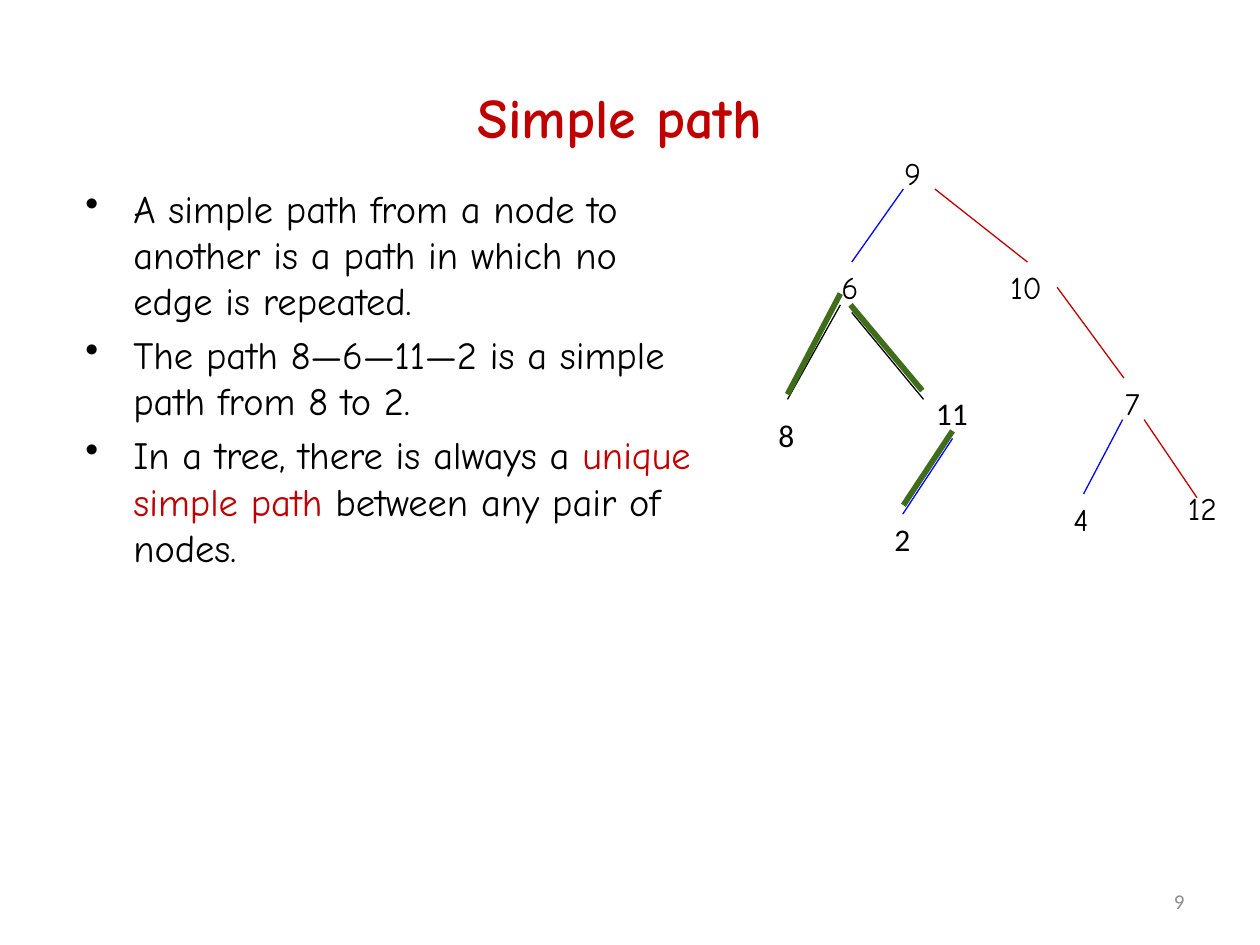
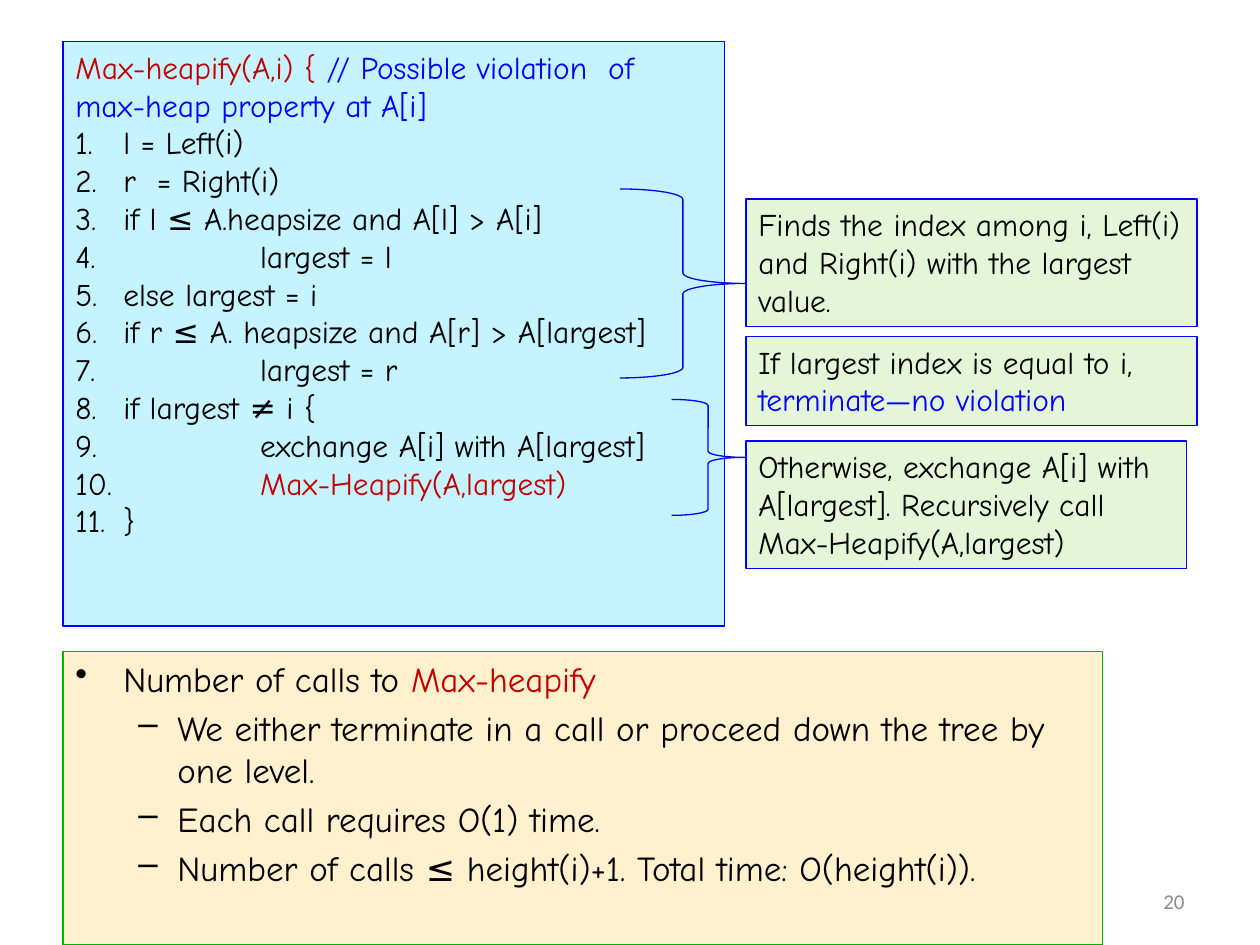
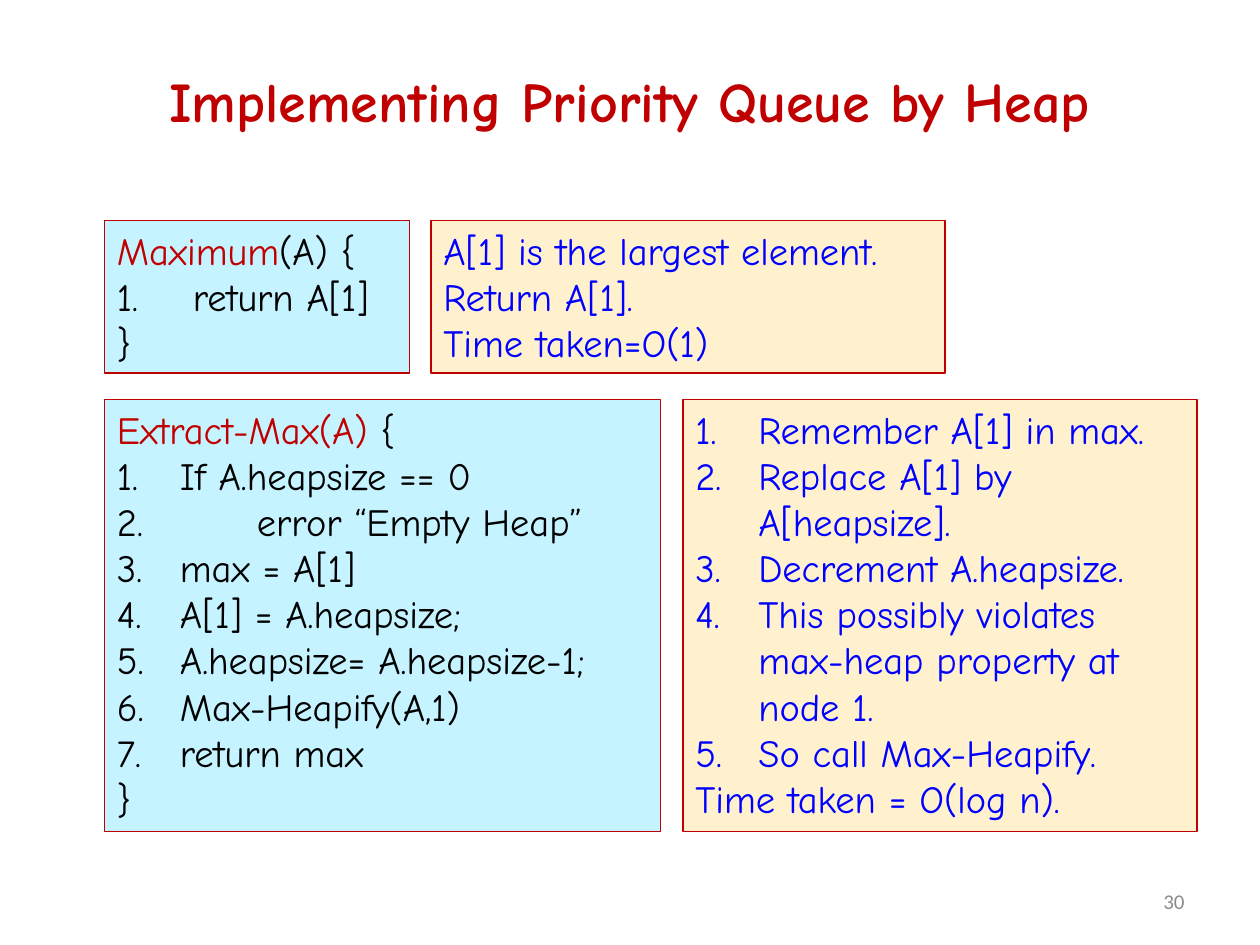
import pptx
import pptx.dml.color
import pptx.enum.shapes
import pptx.enum.text
import pptx.oxml.ns
import pptx.util
from lxml import etree

EMU_PER_PX = 9144
COMIC = "Comic Neue"
CALIBRI = "Calibri"
COLOURS = {
    "red": "C00000", "blue": "0000FF", "black": "000000", "grey": "8C8C8C",
    "path": "3F6D19", "border": "00B500",
    "cyan": "C5F3FF", "cream": "FFF1CE", "mint": "E5F6D8",
}
ALIGN = pptx.enum.text.PP_ALIGN
ANCHOR = pptx.enum.text.MSO_ANCHOR
AUTO_SIZE = pptx.enum.text.MSO_AUTO_SIZE
SHAPE = pptx.enum.shapes.MSO_SHAPE


def px(value):
    return pptx.util.Emu(value * EMU_PER_PX)


def rgb(name):
    return pptx.dml.color.RGBColor.from_string(COLOURS[name])


def apply_format(target, values):
    for name, value in values.items():
        setattr(target, name, value)


def para(*runs, mark=None, left=0, hang=0, before=0):
    return {"runs": runs, "mark": mark, "left": left, "hang": hang, "before": before}


def numbered(texts, hang):
    return [para(*([text] if isinstance(text, str) else text), mark="number", left=hang, hang=hang)
            for text in texts]


def set_mark(paragraph, mark, left, hang):
    properties = paragraph._p.get_or_add_pPr()
    properties.set("marL", str(px(left)))
    properties.set("indent", str(px(-hang)))
    if mark == "number":
        tag, values = "a:buAutoNum", {"type": "arabicPeriod"}
    elif mark:
        tag, values = "a:buChar", {"char": mark}
    else:
        tag, values = "a:buNone", {}
    etree.SubElement(properties, pptx.oxml.ns.qn(tag), values)


def write(shape, paragraphs, size, colour="black", font=COMIC, bold=False,
          align=ALIGN.LEFT, anchor=ANCHOR.TOP, wrap=True):
    frame = shape.text_frame
    fit = AUTO_SIZE.NONE if wrap else AUTO_SIZE.SHAPE_TO_FIT_TEXT
    apply_format(frame, {"word_wrap": wrap, "auto_size": fit, "vertical_anchor": anchor})
    for index, content in enumerate(paragraphs):
        paragraph = frame.add_paragraph() if index else frame.paragraphs[0]
        set_mark(paragraph, content["mark"], content["left"], content["hang"])
        paragraph.alignment = align
        if content["before"]:
            paragraph.space_before = pptx.util.Pt(content["before"])
        for piece in content["runs"]:
            words, tint = (piece, colour) if isinstance(piece, str) else piece
            run = paragraph.add_run()
            run.text = words
            apply_format(run.font, {"name": font, "size": pptx.util.Pt(size), "bold": bold})
            run.font.color.rgb = rgb(tint)


def add_text(slide, at, paragraphs, size, **style):
    text = slide.shapes.add_textbox(*map(px, at))
    write(text, paragraphs, size, **style)
    return text


def add_title(slide, top, words):
    add_text(slide, (50, top, 900, 125), [para(words)], 32, colour="red", bold=True,
             align=ALIGN.CENTER, anchor=ANCHOR.MIDDLE)


def add_page_number(slide, number):
    add_text(slide, (717, 695, 233, 40), [para(number)], 12, colour="grey", font=CALIBRI,
             align=ALIGN.RIGHT, anchor=ANCHOR.MIDDLE)


def add_outline(slide, preset, at, line):
    outline = slide.shapes.add_shape(preset, *map(px, at))
    outline.shadow.inherit = False
    outline.fill.background()
    outline.line.color.rgb = rgb(line)
    outline.line.width = pptx.util.Pt(0.75)
    return outline


def add_panel(slide, at, fill, line, paragraphs, size, colour="black"):
    panel = add_outline(slide, SHAPE.RECTANGLE, at, line)
    panel.fill.solid()
    panel.fill.fore_color.rgb = rgb(fill)
    write(panel, paragraphs, size, colour)


def add_edge(slide, nodes, start, end, colour, width=0.75):
    ends = [(0, 0) if isinstance(place[0], str) else place for place in (start, end)]
    edge = slide.shapes.add_connector(pptx.enum.shapes.MSO_CONNECTOR.STRAIGHT,
                                      *[px(value) for point in ends for value in point])
    for place, connect in ((start, edge.begin_connect), (end, edge.end_connect)):
        if isinstance(place[0], str):
            connect(nodes[place[0]], place[1])
    edge.line.color.rgb = rgb(colour)
    edge.line.width = pptx.util.Pt(width)
    etree.SubElement(edge._element.spPr, pptx.oxml.ns.qn("a:effectLst"))


def add_tree(slide):
    labels = [
        ("9", 708, 117, 36, COMIC), ("6", 658, 208, 36, COMIC), ("10", 792, 208, 47, COMIC),
        ("8", 608, 325, 33, CALIBRI), ("11", 733, 308, 46, CALIBRI), ("7", 883, 300, 36, COMIC),
        ("2", 700, 408, 33, CALIBRI), ("4", 842, 392, 36, COMIC), ("12", 933, 383, 47, COMIC),
    ]
    nodes = {key: add_text(slide, (left, top, width, 40), [para(key)], 18, font=font, wrap=False)
             for key, left, top, width, font in labels}
    edges = [
        ((717, 150), ("6", 0), "blue"),
        ((742, 150), ("10", 0), "red"),
        ((667, 242), (625, 317), "black"),
        (("6", 2), (733, 317), "black"),
        (("11", 2), ("2", 0), "blue"),
        (("10", 3), (892, 300), "red"),
        ((891, 333), ("4", 0), "blue"),
        ((908, 333), (950, 395), "red"),
        ((625, 313), (667, 233), "path", 3.25),
        ((675, 242), (732, 310), "path", 3.25),
        ((756, 342), (717, 401), "path", 3.25),
    ]
    for edge in edges:
        add_edge(slide, nodes, *edge)


def build_simple_path(slide):
    add_title(slide, 30, "Simple path ")
    points = [
        ["A simple path from a node to another is a path in which no edge is repeated."],
        ["The path 8—6—11—2 is a simple path from 8 to 2."],
        ["In a tree, there is always a ", ("unique simple path ", "red"),
         "between any pair of nodes."],
    ]
    add_text(slide, (58, 142, 508, 367),
             [para(*runs, mark="•", left=38, hang=38, before=4.4 if index else 0)
              for index, runs in enumerate(points)], 22)
    add_tree(slide)
    add_page_number(slide, "9")


def build_max_heapify(slide):
    calls = [
        "We either terminate in a call or proceed down the tree by one level.",
        "Each call requires O(1) time.",
        "Number of calls ≤ height(i)+1. Total time: O(height(i)).",
    ]
    add_panel(slide, (50, 517, 825, 233), "cream", "border",
              [para("Number of calls to ", ("Max-heapify", "red"), mark="•", left=38, hang=38)]
              + [para(call, mark="–", left=81, hang=31, before=4) for call in calls], 20)
    add_page_number(slide, "20")
    code = [
        "l = Left(i)",
        "r  = Right(i)",
        "if l ≤ A.heapsize and A[l] > A[i]",
        "             largest = l",
        "else largest = i",
        "if r ≤ A. heapsize and A[r] > A[largest]",
        "             largest = r",
        "if largest ≠ i {",
        "             exchange A[i] with A[largest]",
        ["             ", ("Max-Heapify(A,largest)", "red")],
        "}",
    ]
    heading = para(("Max-heapify(A,i) { ", "red"),
                   ("// Possible violation  of max-heap property at A[i]", "blue"))
    add_panel(slide, (50, 33, 525, 464), "cyan", "blue", [heading] + numbered(code, 38), 18)
    remarks = [
        ((592, 158, 358, 101),
         ["Finds the index among i, Left(i) and Right(i) with the largest value."]),
        ((592, 267, 358, 71),
         ["If largest index is equal to i, ", ("terminate—no violation", "blue")]),
        ((592, 350, 350, 101),
         ["Otherwise, exchange A[i] with A[largest]. Recursively call Max-Heapify(A,largest)"]),
    ]
    for at, runs in remarks:
        add_panel(slide, at, "mint", "blue", [para(*runs)], 18)
    for at in ((492, 150, 100, 150), (533, 317, 58, 92)):
        add_outline(slide, SHAPE.RIGHT_BRACE, at, "blue")


def build_priority_queue(slide):
    add_title(slide, 17, "Implementing Priority Queue by Heap")
    add_page_number(slide, "30")
    closing = para("}", left=50, hang=50)
    maximum = [para(("Maximum", "red"), "(A) {"), *numbered([" return A[1]"], 50), closing]
    extract_max = [para(("Extract-Max(A) ", "red"), "{"), *numbered([
        "If A.heapsize == 0",
        "      error “Empty Heap”",
        "max = A[1]",
        "A[1] = A.heapsize;",
        "A.heapsize= A.heapsize-1;",
        "Max-Heapify(A,1)",
        "return max",
    ], 50), closing]
    maximum_remarks = [para("A[1] is the largest element. Return A[1]."),
                       para("Time taken=O(1)")]
    extract_remarks = numbered([
        "Remember A[1] in max.",
        "Replace A[1] by A[heapsize].",
        "Decrement A.heapsize.",
        "This possibly violates max-heap property at node 1.",
        "So call Max-Heapify.",
    ], 50) + [para("Time taken = O(log n).", left=50, hang=50)]
    rows = [
        (175, 121, 242, maximum, 342, maximum_remarks),
        (317, 343, 441, extract_max, 542, extract_remarks),
    ]
    for top, height, code_width, code, remarks_left, remarks in rows:
        add_panel(slide, (83, top, code_width, height), "cyan", "red", code, 22)
        add_panel(slide, (remarks_left, top, 408, height), "cream", "red", remarks, 22, "blue")


def main():
    deck = pptx.Presentation()
    apply_format(deck, {"slide_width": px(1000), "slide_height": px(750)})
    for build in (build_simple_path, build_max_heapify, build_priority_queue):
        build(deck.slides.add_slide(deck.slide_layouts[6]))
    deck.save("out.pptx")


if __name__ == "__main__":
    main()
